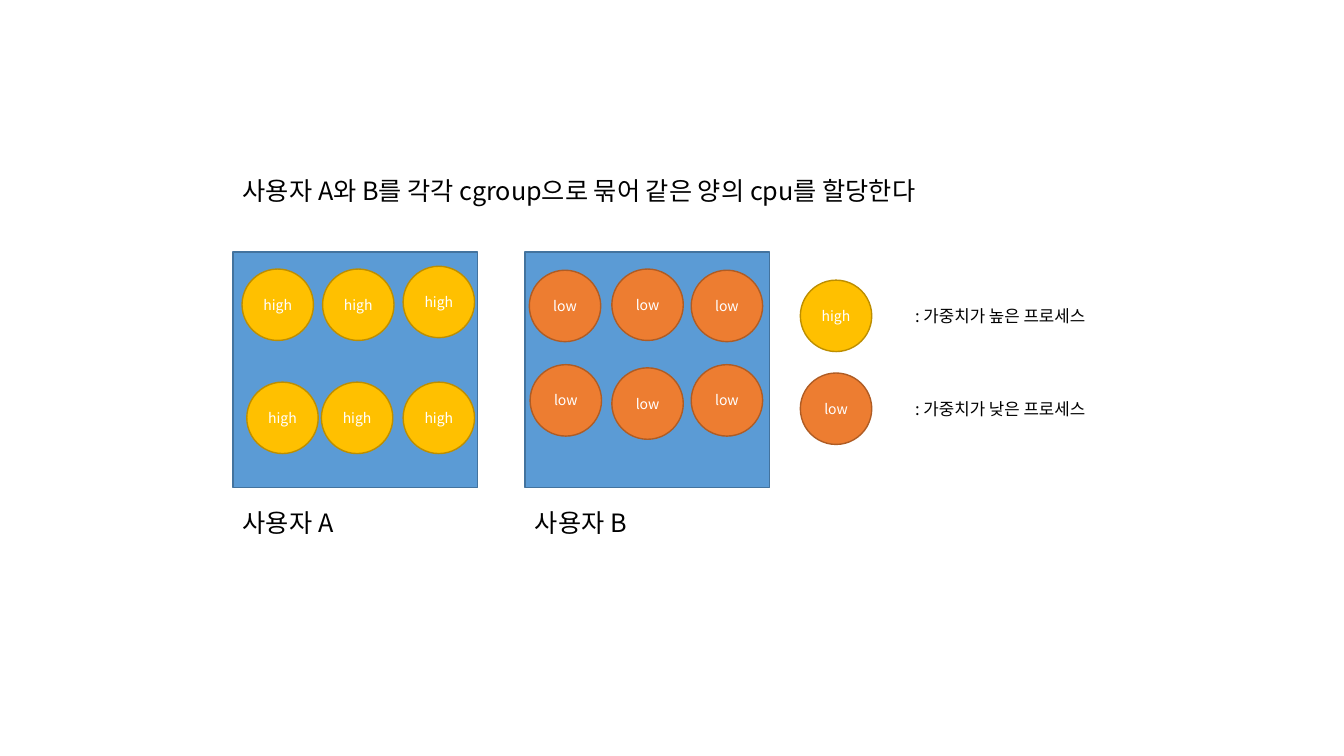
from dataclasses import dataclass

from lxml import etree
from pptx import Presentation
from pptx.dml.color import RGBColor
from pptx.enum.shapes import MSO_SHAPE
from pptx.enum.text import MSO_ANCHOR, MSO_AUTO_SIZE, PP_ALIGN
from pptx.oxml.ns import qn
from pptx.shapes.autoshape import Shape
from pptx.slide import Slide
from pptx.text.text import TextFrame
from pptx.util import Cm, Pt

RECT, OVAL = MSO_SHAPE.RECTANGLE, MSO_SHAPE.OVAL
MIDDLE, CENTER = MSO_ANCHOR.MIDDLE, PP_ALIGN.CENTER
GROW = MSO_AUTO_SIZE.SHAPE_TO_FIT_TEXT

BLACK = RGBColor(0x00, 0x00, 0x00)
WHITE = RGBColor(0xFF, 0xFF, 0xFF)
BLUE = RGBColor(0x5B, 0x9B, 0xD5)
BLUE_LINE = RGBColor(0x43, 0x73, 0x9E)
GOLD = RGBColor(0xFF, 0xC0, 0x00)
GOLD_LINE = RGBColor(0xBD, 0x8E, 0x00)
ORANGE = RGBColor(0xED, 0x7D, 0x31)
ORANGE_LINE = RGBColor(0xAF, 0x5C, 0x24)

FONT = "Noto Sans CJK KR"
DIAMETER = 1.8
BOX_TOP, BOX_W, BOX_H = 6.35, 6.17, 5.94
LEGEND_X, LEGEND_TEXT_X = 20.17, 22.81
LEGEND_TEXT_H = 0.76


@dataclass(frozen=True)
class Process:
    """A kind of process: its label, colours and legend entry."""
    label: str
    fill: RGBColor
    line: RGBColor
    meaning: str
    legend_top: float


@dataclass(frozen=True)
class User:
    """A user's box, with the top-left corners of its processes in cm."""
    name: str
    left: float
    process: Process
    spots: tuple[tuple[float, float], ...]


HIGH = Process("high", GOLD, GOLD_LINE, ": 가중치가 높은 프로세스", 7.06)
LOW = Process("low", ORANGE, ORANGE_LINE, ": 가중치가 낮은 프로세스", 9.4)
USERS = (
    User("사용자 A", 5.87, HIGH, ((6.1, 6.78), (8.13, 6.78), (10.16, 6.71),
                               (6.22, 9.63), (8.1, 9.63), (10.16, 9.63))),
    User("사용자 B", 13.23, LOW, ((13.34, 6.81), (15.42, 6.78), (17.42, 6.81),
                                (13.36, 9.19), (15.42, 9.27), (17.42, 9.19))),
)


def set_text(tf: TextFrame, text: str, size: float, color: RGBColor) -> None:
    """Write one line of text in the slide's font."""
    tf.text = text
    r = tf.paragraphs[0].runs[0]
    r.font.name, r.font.size = FONT, Pt(size)
    r.font.color.rgb = color
    etree.SubElement(r.font._element, qn("a:ea"), typeface=FONT)


def add_label(s: Slide, text: str, left: float, top: float, width: float,
              height: float, size: float) -> None:
    """Add an unwrapped black text box."""
    tf = s.shapes.add_textbox(Cm(left), Cm(top), Cm(width), Cm(height)).text_frame
    tf.word_wrap = False
    tf.auto_size = GROW
    set_text(tf, text, size, BLACK)


def add_figure(s: Slide, kind: MSO_SHAPE, left: float, top: float, width: float,
               height: float, fill: RGBColor, line: RGBColor) -> Shape:
    """Add a filled, outlined shape without a shadow."""
    sp = s.shapes.add_shape(kind, Cm(left), Cm(top), Cm(width), Cm(height))
    sp.shadow.inherit = False
    sp.fill.solid()
    sp.fill.fore_color.rgb = fill
    sp.line.color.rgb = line
    sp.line.width = Pt(1)
    return sp


def add_process(s: Slide, process: Process, left: float, top: float) -> None:
    """Add a labelled process circle."""
    sp = add_figure(s, OVAL, left, top, DIAMETER, DIAMETER, process.fill, process.line)
    tf = sp.text_frame
    tf.vertical_anchor = MIDDLE
    set_text(tf, process.label, 10, WHITE)
    tf.paragraphs[0].alignment = CENTER


def add_user(s: Slide, user: User) -> None:
    """Add a user's box, its processes and its caption."""
    add_figure(s, RECT, user.left, BOX_TOP, BOX_W, BOX_H, BLUE, BLUE_LINE)
    for left, top in user.spots:
        add_process(s, user.process, left, top)
    add_label(s, user.name, user.left, 12.67, 3.1, 1.02, 18)


def add_legend(s: Slide, process: Process) -> None:
    """Add a legend circle with its meaning centred beside it."""
    add_process(s, process, LEGEND_X, process.legend_top)
    text_top = process.legend_top + (DIAMETER - LEGEND_TEXT_H) / 2
    add_label(s, process.meaning, LEGEND_TEXT_X, text_top, 5.33, LEGEND_TEXT_H, 12)


prs = Presentation()
prs.slide_width, prs.slide_height = Cm(33.87), Cm(19.05)
s = prs.slides.add_slide(prs.slide_layouts[6])

add_label(s, "사용자 A와 B를 각각 cgroup으로 묶어 같은 양의 cpu를 할당한다",
          USERS[0].left, 4.29, 19.28, 1.02, 18)
for user in USERS:
    add_user(s, user)
for process in (HIGH, LOW):
    add_legend(s, process)

prs.save("out.pptx")
